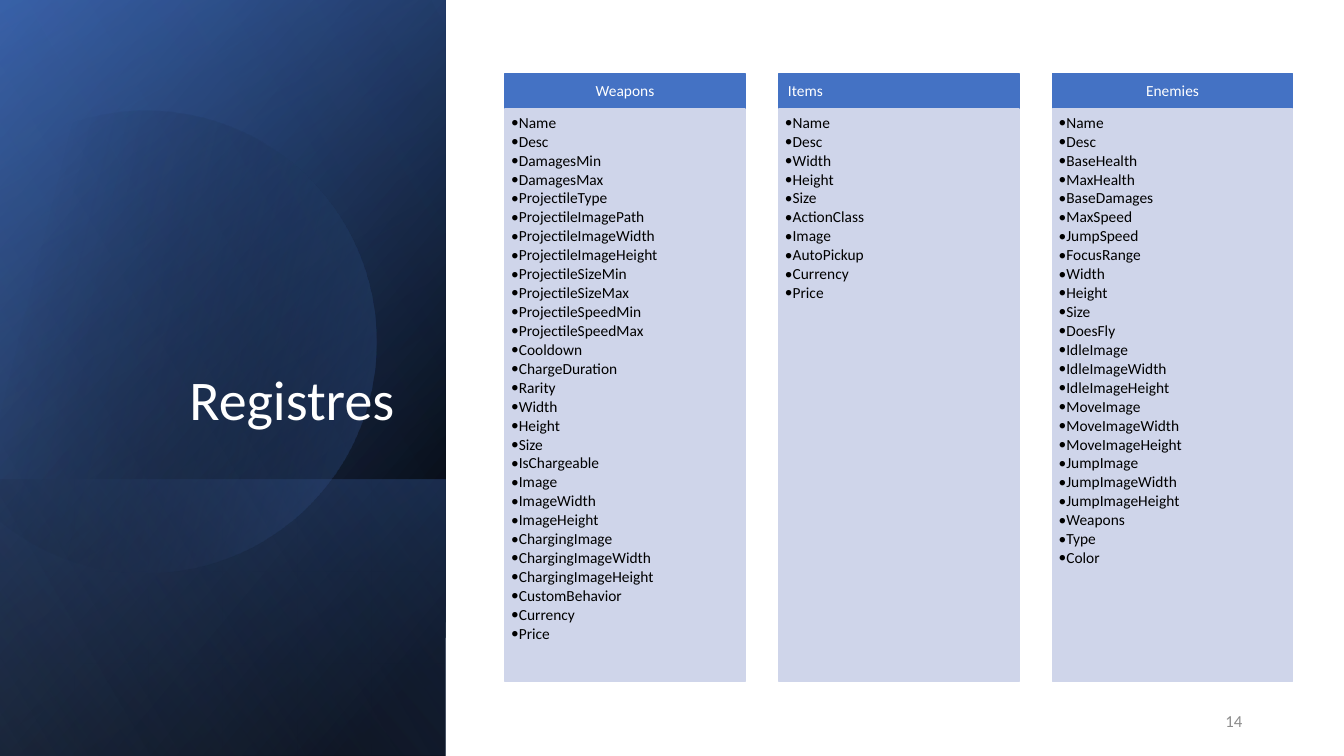
from dataclasses import dataclass
from math import cos, radians, sin

from lxml.etree import SubElement
from pptx import Presentation
from pptx.dml.color import RGBColor
from pptx.enum.shapes import MSO_SHAPE
from pptx.enum.text import MSO_ANCHOR, PP_ALIGN
from pptx.oxml.ns import qn
from pptx.shapes.autoshape import Shape
from pptx.slide import Slide
from pptx.util import Inches, Pt


@dataclass(frozen=True)
class Theme:
    font: str = "Calibri"
    title_size: int = 40
    list_size: int = 11
    number_size: int = 12
    white: str = "FFFFFF"
    black: str = "000000"
    blue: str = "4472C4"
    dark_blue: str = "2F5597"
    light_blue: str = "8FAADC"
    pale_blue: str = "CFD5EA"
    grey: str = "8C8C8C"


THEME = Theme()


@dataclass(frozen=True)
class Box:
    left: float
    top: float
    width: float
    height: float

    def lengths(self) -> tuple[int, ...]:
        return tuple(Inches(v) for v in (self.left, self.top, self.width, self.height))


@dataclass(frozen=True)
class Stop:
    percent: int
    color: str
    opacity: int = 100


@dataclass(frozen=True)
class Gradient:
    start: Stop
    end: Stop
    angle: int


@dataclass(frozen=True)
class TextStyle:
    size: int
    color: str
    align: PP_ALIGN = PP_ALIGN.LEFT
    anchor: MSO_ANCHOR = MSO_ANCHOR.TOP
    insets: tuple[float, float, float, float] = (0.1, 0.05, 0.1, 0.05)
    line_spacing: float = 0.9
    space_after: int = 0
    bullet: str = ""


@dataclass(frozen=True)
class Register:
    name: str
    align: PP_ALIGN
    fields: str


PANEL = Box(-1.54, 1.54, 7.5, 4.42)
LOWER_PANEL = Box(0.84, 3.92, 2.74, 4.42)
BACK_PANELS = (
    (PANEL, Gradient(Stop(8, THEME.black), Stop(100, THEME.dark_blue), 50)),
    (PANEL, Gradient(Stop(0, THEME.black, 0), Stop(99, THEME.blue, 46), 30)),
    (LOWER_PANEL, Gradient(Stop(2, THEME.blue, 29), Stop(100, THEME.black, 30), 130)),
)
DISC_GRADIENT = Gradient(Stop(29, THEME.black, 0), Stop(100, THEME.blue, 43), 30)
SHEEN = Gradient(Stop(0, THEME.black, 0), Stop(99, THEME.light_blue, 11), 120)

FIRST_LEFT, LAST_LEFT, COLUMN_WIDTH = 5.01, 10.44, 2.38
HEADER_TOP, HEADER_HEIGHT, BODY_HEIGHT = 0.73, 0.35, 5.68
BULLET_INDENT = Pt(4.5)

REGISTERS = (
    Register("Weapons", PP_ALIGN.CENTER, """
        Name Desc DamagesMin DamagesMax ProjectileType ProjectileImagePath
        ProjectileImageWidth ProjectileImageHeight ProjectileSizeMin ProjectileSizeMax
        ProjectileSpeedMin ProjectileSpeedMax Cooldown ChargeDuration Rarity Width Height
        Size IsChargeable Image ImageWidth ImageHeight ChargingImage ChargingImageWidth
        ChargingImageHeight CustomBehavior Currency Price"""),
    Register("Items", PP_ALIGN.LEFT, """
        Name Desc Width Height Size ActionClass Image AutoPickup Currency Price"""),
    Register("Enemies", PP_ALIGN.CENTER, """
        Name Desc BaseHealth MaxHealth BaseDamages MaxSpeed JumpSpeed FocusRange Width
        Height Size DoesFly IdleImage IdleImageWidth IdleImageHeight MoveImage
        MoveImageWidth MoveImageHeight JumpImage JumpImageWidth JumpImageHeight Weapons
        Type Color"""),
)


def fill_gradient(shape: Shape, gradient: Gradient) -> None:
    shape.shadow.inherit = False
    shape.line.fill.background()
    shape.fill.gradient()
    shape.fill.gradient_angle = 360 - gradient.angle
    stops = (gradient.start, gradient.end)
    for gradient_stop, stop in zip(shape.fill.gradient_stops, stops):
        gradient_stop.position = stop.percent / 100
        gradient_stop.color.rgb = RGBColor.from_string(stop.color)
    for color_element, stop in zip(shape._element.spPr.iter(qn("a:srgbClr")), stops):
        if stop.opacity < 100:
            SubElement(color_element, qn("a:alpha")).set("val", str(stop.opacity * 1000))


def add_panel(slide: Slide, box: Box, gradient: Gradient) -> None:
    """Add a gradient rectangle turned a quarter and mirrored."""
    shape = slide.shapes.add_shape(MSO_SHAPE.RECTANGLE, *box.lengths())
    shape.rotation = 90
    shape._element.spPr.find(qn("a:xfrm")).set("flipH", "1")
    fill_gradient(shape, gradient)


def add_disc(slide: Slide) -> None:
    """Add the tilted disc, cut straight near the slide's left edge."""
    center_x, center_y, radius = 1.44, 3.35, 2.29
    start, end, steps = -118.2, 150.4, 90
    angles = [radians(start + (end - start) * i / steps) for i in range(steps + 1)]
    points = [
        (Inches(center_x + radius * cos(a)), Inches(center_y + radius * sin(a)))
        for a in angles
    ]
    builder = slide.shapes.build_freeform(*points[0])
    builder.add_line_segments(points[1:], close=True)
    disc = builder.convert_to_shape()
    disc.rotation = 343.9
    fill_gradient(disc, DISC_GRADIENT)


def write_text(shape: Shape, lines: list[str], style: TextStyle) -> None:
    frame = shape.text_frame
    left, top, right, bottom = (Inches(inset) for inset in style.insets)
    frame_format = {
        "word_wrap": True, "vertical_anchor": style.anchor,
        "margin_left": left, "margin_top": top,
        "margin_right": right, "margin_bottom": bottom,
    }
    for name, value in frame_format.items():
        setattr(frame, name, value)
    for index, line in enumerate(lines):
        paragraph = frame.add_paragraph() if index else frame.paragraphs[0]
        paragraph.alignment = style.align
        paragraph.line_spacing = style.line_spacing
        properties = paragraph._p.get_or_add_pPr()
        if style.space_after:
            spacing = SubElement(properties, qn("a:spcAft"))
            SubElement(spacing, qn("a:spcPct")).set("val", str(style.space_after * 1000))
        if style.bullet:
            paragraph.level = 1
            properties.set("marL", str(BULLET_INDENT))
            properties.set("indent", str(-BULLET_INDENT))
            SubElement(properties, qn("a:buFont")).set("typeface", THEME.font)
            SubElement(properties, qn("a:buChar")).set("char", style.bullet)
        run = paragraph.add_run()
        run.text = line
        run.font.color.rgb = RGBColor.from_string(style.color)
        for name, value in {"name": THEME.font, "size": Pt(style.size)}.items():
            setattr(run.font, name, value)


def add_label(slide: Slide, box: Box, text: str, style: TextStyle) -> None:
    write_text(slide.shapes.add_textbox(*box.lengths()), [text], style)


def add_block(slide: Slide, box: Box, color: str) -> Shape:
    shape = slide.shapes.add_shape(MSO_SHAPE.RECTANGLE, *box.lengths())
    shape.shadow.inherit = False
    shape.fill.solid()
    shape.line.width = Pt(1)
    for target in (shape.fill.fore_color, shape.line.color):
        target.rgb = RGBColor.from_string(color)
    return shape


def add_register(slide: Slide, left: float, register: Register) -> None:
    header = add_block(slide, Box(left, HEADER_TOP, COLUMN_WIDTH, HEADER_HEIGHT), THEME.blue)
    write_text(header, [register.name], TextStyle(
        THEME.list_size, THEME.white, register.align, MSO_ANCHOR.MIDDLE,
        insets=(0.09, 0.05, 0.09, 0.05), space_after=35))
    body_top = HEADER_TOP + HEADER_HEIGHT
    body = add_block(slide, Box(left, body_top, COLUMN_WIDTH, BODY_HEIGHT), THEME.pale_blue)
    write_text(body, register.fields.split(), TextStyle(
        THEME.list_size, THEME.black,
        insets=(0.06, 0.06, 0.09, 0.1), space_after=15, bullet="•"))


def main() -> None:
    presentation = Presentation()
    presentation.slide_width = Inches(13.33)
    presentation.slide_height = Inches(7.5)
    slide = presentation.slides.add_slide(presentation.slide_layouts[6])

    for box, gradient in BACK_PANELS:
        add_panel(slide, box, gradient)
    add_disc(slide)
    add_panel(slide, PANEL, SHEEN)
    add_label(slide, Box(0.51, 0.64, 3.5, 3.7), "Registres", TextStyle(
        THEME.title_size, THEME.white, PP_ALIGN.RIGHT, MSO_ANCHOR.BOTTOM))

    column_step = (LAST_LEFT - FIRST_LEFT) / (len(REGISTERS) - 1)
    for index, register in enumerate(REGISTERS):
        add_register(slide, FIRST_LEFT + index * column_step, register)
    add_label(slide, Box(9.42, 6.95, 3, 0.4), "14", TextStyle(
        THEME.number_size, THEME.grey, PP_ALIGN.RIGHT, MSO_ANCHOR.MIDDLE, line_spacing=1.0))
    presentation.save("out.pptx")


if __name__ == "__main__":
    main()
